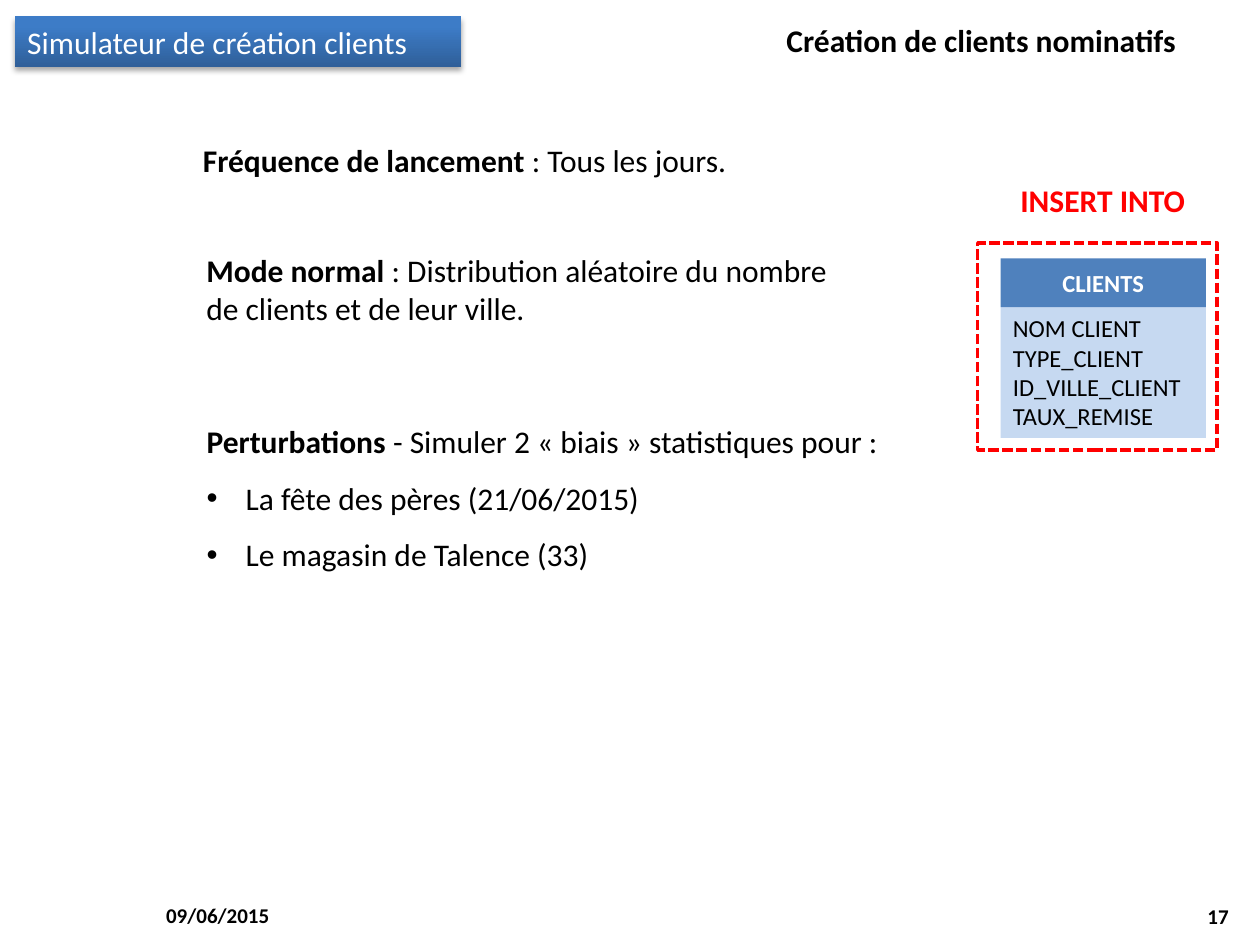
import pptx
import pptx.util
from lxml import etree
from pptx.dml.color import RGBColor
from pptx.enum.dml import MSO_LINE
from pptx.enum.shapes import MSO_SHAPE
from pptx.enum.text import MSO_ANCHOR, MSO_AUTO_SIZE, PP_ALIGN
from pptx.oxml.ns import qn
from pptx.util import Cm, Pt

BLACK = RGBColor(0x00, 0x00, 0x00)
WHITE = RGBColor(0xFF, 0xFF, 0xFF)
RED = RGBColor(0xFF, 0x00, 0x00)
TABLE_BLUE = RGBColor(0x4F, 0x81, 0xBD)
PALE_BLUE = RGBColor(0xC6, 0xD9, 0xF1)
HEADER_DARK = RGBColor(0x2F, 0x5F, 0x99)
HEADER_LIGHT = RGBColor(0x3D, 0x7C, 0xC7)

FONT = "Calibri"
BULLET_INDENT = Cm(0.79)

# Each paragraph is a string, or a list of (text, bold) spans.
TITLE = ["Création de clients nominatifs"]
HEADER = ["Simulateur de création clients"]
DATE = ["09/06/2015"]
PAGE_NUMBER = ["17"]
FREQUENCY = [[("Fréquence de lancement ", True), (": Tous les jours.", False)]]
NORMAL_MODE = [[
    ("Mode normal ", True),
    (": Distribution aléatoire du nombre de clients et de leur ville.", False),
]]
DISTURBANCES = [
    [("Perturbations ", True), ("- Simuler 2 « biais » statistiques pour :", False)],
    "La fête des pères (21/06/2015)",
    "Le magasin de Talence (33)",
]
ACTION = ["INSERT INTO"]
TABLE_NAME = ["CLIENTS"]
TABLE_FIELDS = ["NOM CLIENT", "TYPE_CLIENT", "ID_VILLE_CLIENT", "TAUX_REMISE"]


def place(shape, left, top, width, height):
    shape.left, shape.top = Cm(left), Cm(top)
    shape.width, shape.height = Cm(width), Cm(height)


def set_bullet(para, bulleted):
    properties = para._p.get_or_add_pPr()
    indent = BULLET_INDENT if bulleted else 0
    properties.set("marL", str(indent))
    properties.set("indent", str(-indent))
    if bulleted:
        etree.SubElement(properties, qn("a:buFont")).set("typeface", "Arial")
        etree.SubElement(properties, qn("a:buChar")).set("char", "•")
    else:
        etree.SubElement(properties, qn("a:buNone"))


def write(shape, paragraphs, size=18, color=BLACK, bold=False, align=PP_ALIGN.LEFT,
          anchor=MSO_ANCHOR.TOP, spacing=None, wrap=True, bullets_from=None):
    """Fill a shape with text; paragraphs from index bullets_from on get bullets."""
    frame = shape.text_frame
    frame.auto_size = MSO_AUTO_SIZE.NONE
    frame.word_wrap = wrap
    frame.vertical_anchor = anchor
    for index, content in enumerate(paragraphs):
        para = frame.add_paragraph() if index else frame.paragraphs[0]
        para.alignment = align
        para.space_before = Pt(0)
        if spacing:
            para.line_spacing = spacing
        if bullets_from is not None:
            set_bullet(para, index >= bullets_from)
        spans = [(content, bold)] if isinstance(content, str) else content
        for text, span_bold in spans:
            span = para.add_run()
            span.text = text
            span.font.name = FONT
            span.font.size = Pt(size)
            span.font.bold = span_bold
            span.font.color.rgb = color


def add_text(shapes, paragraphs, position, **text_format):
    box = shapes.add_textbox(*map(Cm, position))
    write(box, paragraphs, **text_format)


def add_block(shapes, position, fill=None, kind=MSO_SHAPE.RECTANGLE):
    block = shapes.add_shape(kind, *map(Cm, position))
    block.shadow.inherit = False
    block.line.fill.background()
    if fill is None:
        block.fill.background()
    else:
        block.fill.solid()
        block.fill.fore_color.rgb = fill
    return block


def add_drop_shadow(shape):
    effects = shape._element.spPr.find(qn("a:effectLst"))
    shadow = etree.SubElement(effects, qn("a:outerShdw"), blurRad=str(Pt(3.1)),
                              dist=str(Pt(1.8)), dir="5400000", rotWithShape="0")
    color = etree.SubElement(shadow, qn("a:srgbClr"), val="000000")
    etree.SubElement(color, qn("a:alpha"), val="35000")


def add_header(shapes):
    header = add_block(shapes, (0.3, 0.33, 9, 1.02))
    header.fill.gradient()
    header.fill.gradient_angle = 90
    dark, light = header.fill.gradient_stops
    dark.color.rgb, dark.position = HEADER_DARK, 0
    light.color.rgb, light.position = HEADER_LIGHT, 0.8
    add_drop_shadow(header)
    write(header, HEADER, color=WHITE)


def add_client_table(shapes):
    left, top, width, name_height = 20.17, 5.21, 4.14, 0.98
    group = shapes.add_group_shape().shapes
    fields = add_block(group, (left, top + name_height, width, 2.64), PALE_BLUE)
    write(fields, TABLE_FIELDS, size=14)
    name = add_block(group, (left, top, width, name_height), TABLE_BLUE,
                     MSO_SHAPE.SNIP_2_SAME_RECTANGLE)
    name.adjustments[0] = name.adjustments[1] = 0
    write(name, TABLE_NAME, size=14, color=WHITE, bold=True,
          align=PP_ALIGN.CENTER, anchor=MSO_ANCHOR.MIDDLE)
    outline = add_block(group, (19.71, 4.9, 4.83, 4.17))
    outline.line.color.rgb = RED
    outline.line.width = Pt(2)
    outline.line.dash_style = MSO_LINE.SQUARE_DOT
    etree.SubElement  # placeholder-free: dash preset is set above
    add_text(group, ACTION, (20.32, 3.53, 3.86, 1.02), color=RED, bold=True, wrap=False)


def main():
    deck = pptx.Presentation()
    deck.slide_width, deck.slide_height = Cm(25.4), Cm(19.05)
    slide = deck.slides.add_slide(deck.slide_layouts[1])
    shapes = slide.shapes

    place(shapes.title, 15.6, 0.3, 9.2, 1.02)
    write(shapes.title, TITLE, bold=True)
    body = slide.placeholders[1]
    place(body, 3.91, 8, 14.25, 3.71)
    write(body, DISTURBANCES, spacing=1.5, bullets_from=1)

    add_header(shapes)
    add_client_table(shapes)
    add_text(shapes, FREQUENCY, (3.84, 2.72, 14.07, 1.02))
    add_text(shapes, NORMAL_MODE, (3.91, 4.93, 13.74, 1.8))
    footer = dict(size=12, bold=True, anchor=MSO_ANCHOR.MIDDLE)
    add_text(shapes, DATE, (3.1, 17.93, 5.92, 1.02), **footer)
    add_text(shapes, PAGE_NUMBER, (19.1, 17.96, 5.92, 1.02), align=PP_ALIGN.RIGHT, **footer)

    deck.save("out.pptx")


if __name__ == "__main__":
    main()
